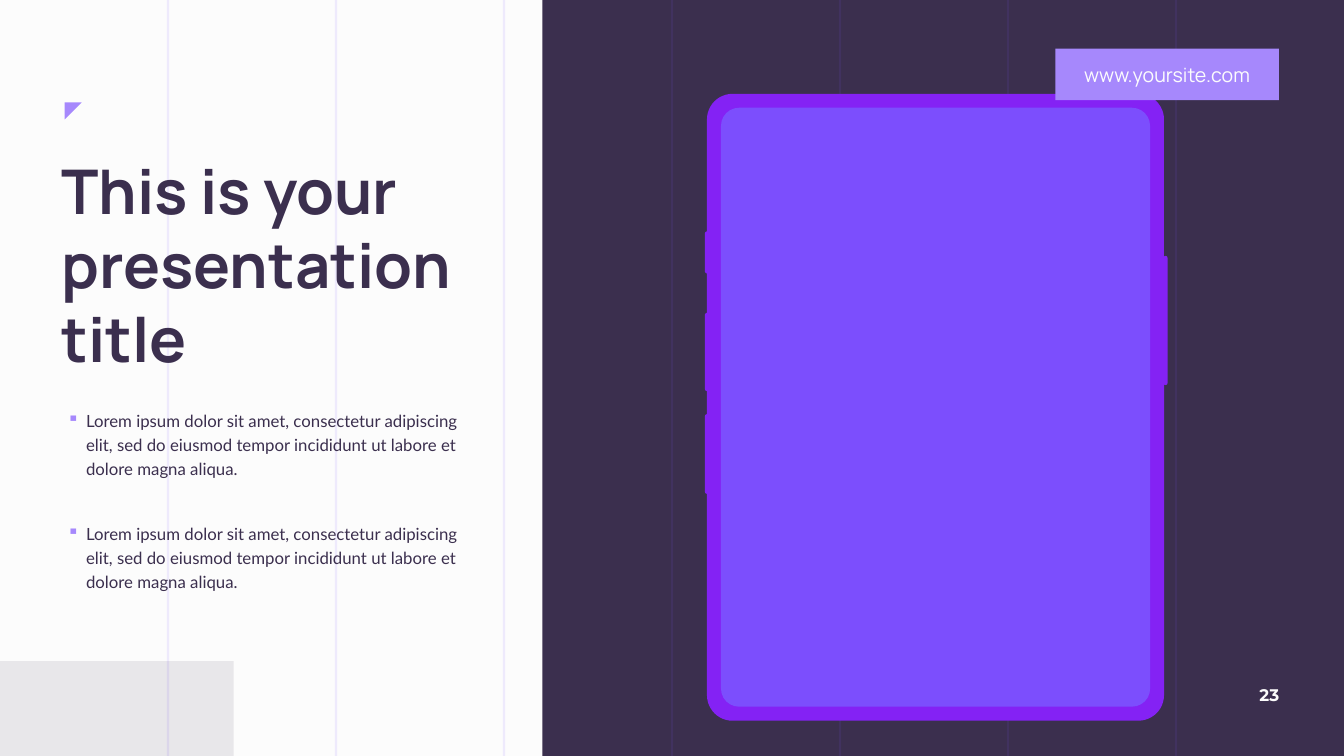
from lxml.etree import SubElement
from pptx import Presentation
from pptx.dml.color import RGBColor
from pptx.enum.shapes import MSO_CONNECTOR, MSO_SHAPE
from pptx.enum.text import MSO_ANCHOR, MSO_AUTO_SIZE, PP_ALIGN
from pptx.oxml.ns import qn
from pptx.util import Pt

TITLE = "This is your presentation\ntitle"
LOREM = ("Lorem ipsum dolor sit amet, consectetur adipiscing elit, sed do "
         "eiusmod tempor incididunt ut labore et dolore magna aliqua.")
POINTS = [LOREM, LOREM]
SITE = "www.yoursite.com"
PAGE = "23"

HEX = {"paper": "FCFCFC", "ink": "3B2F4E", "screen": "7C4EFD",
       "frame": "8422F4", "accent": "A688FC"}
WIDE, HIGH = 960, 540
SPLIT = 387.4   # left edge of the dark half
STEP = 120      # gap between grid lines
BEZEL = 10
TABLET = (505, 67, 326.5, 447.8)
# side buttons: left, top, width, height
KEYS = [(831, 182.8, 3, 92.2), (503.5, 165.2, 3.4, 30.2),
        (503.5, 223.4, 3.4, 56), (503.5, 295.8, 3.4, 57)]


def tone(name):
    return RGBColor.from_string(HEX[name])


def fade(fill, part):
    """Make a solid fill show at the given share of full strength."""
    color = fill.find(".//" + qn("a:srgbClr"))
    SubElement(color, qn("a:alpha")).set("val", str(int(part * 100000)))


def block(slide, kind, box, name, curve=None):
    shape = slide.shapes.add_shape(kind, *map(Pt, box))
    shape.shadow.inherit = False
    shape.fill.solid()
    shape.fill.fore_color.rgb = tone(name)
    shape.line.fill.background()
    if curve is not None:
        shape.adjustments[0] = curve
    return shape


def grid(slide):
    for x in range(STEP, WIDE, STEP):
        line = slide.shapes.add_connector(
            MSO_CONNECTOR.STRAIGHT, Pt(x), Pt(0), Pt(x), Pt(HIGH))
        line.line.color.rgb = tone("screen")
        line.line.width = Pt(1.5)
        props = line.element.spPr
        fade(props.find(qn("a:ln")), 0.1)
        SubElement(props, qn("a:effectLst"))


def style(para, face, size, name, bold=False, align=PP_ALIGN.LEFT):
    para.alignment = align
    font = para.font
    font.name, font.size, font.bold = face, Pt(size), bold
    font.color.rgb = tone(name)


def frame(shape, anchor, pad=None):
    text = shape.text_frame
    text.word_wrap = True
    text.auto_size = MSO_AUTO_SIZE.NONE
    text.vertical_anchor = anchor
    if pad is not None:
        text.margin_left = text.margin_right = Pt(pad)
        text.margin_top = text.margin_bottom = Pt(pad)
    return text


def bullet(para):
    props = para._p.get_or_add_pPr()
    props.set("marL", str(Pt(13.5)))
    props.set("indent", str(-Pt(13.5)))
    color = SubElement(props, qn("a:buClr"))
    SubElement(color, qn("a:srgbClr")).set("val", HEX["accent"])
    SubElement(props, qn("a:buChar")).set("char", "▪")


def tablet(slide):
    for key in KEYS:
        block(slide, MSO_SHAPE.ROUNDED_RECTANGLE, key, "frame", 0.5)
    block(slide, MSO_SHAPE.ROUNDED_RECTANGLE, TABLET, "frame", 0.056)
    x, y, w, h = TABLET
    glass = (x + BEZEL, y + BEZEL, w - 2 * BEZEL, h - 2 * BEZEL)
    block(slide, MSO_SHAPE.ROUNDED_RECTANGLE, glass, "screen", 0.042)


def copy_text(slide):
    num = slide.shapes.add_textbox(Pt(888.5), Pt(481.7), Pt(32.4), Pt(28.8))
    text = frame(num, MSO_ANCHOR.MIDDLE)
    text.text = PAGE
    style(text.paragraphs[0], "Montserrat", 12, "paper", True, PP_ALIGN.RIGHT)

    tag = block(slide, MSO_SHAPE.RECTANGLE, (753.8, 34.8, 159.8, 36.7), "accent")
    text = frame(tag, MSO_ANCHOR.MIDDLE)
    text.text = SITE
    style(text.paragraphs[0], "Manrope", 14, "paper", align=PP_ALIGN.CENTER)

    body = slide.shapes.add_textbox(Pt(48), Pt(290.2), Pt(289.4), Pt(133.2))
    text = frame(body, MSO_ANCHOR.TOP, 0)
    text.text = "\n".join(POINTS)
    for i, para in enumerate(text.paragraphs):
        bullet(para)
        para.line_spacing = 1.2
        para.space_before = Pt(29.3 if i else 0)
        style(para, "Lato", 12, "ink")

    title = slide.shapes.title
    title.left, title.top, title.width, title.height = map(
        Pt, (36.7, 105.8, 320.4, 167))
    text = frame(title, MSO_ANCHOR.TOP)
    text.text = TITLE
    for para in text.paragraphs:
        style(para, "Manrope", 44, "ink", True)
    title.element.getparent().append(title.element)


def main():
    deck = Presentation()
    deck.slide_width, deck.slide_height = Pt(WIDE), Pt(HIGH)
    slide = deck.slides.add_slide(deck.slide_layouts[5])
    slide.background.fill.solid()
    slide.background.fill.fore_color.rgb = tone("paper")
    block(slide, MSO_SHAPE.RECTANGLE, (SPLIT, 0, WIDE - SPLIT, HIGH), "ink")
    grid(slide)
    base = block(slide, MSO_SHAPE.RECTANGLE, (0, 472.3, 167, HIGH - 472.3), "ink")
    fade(base.element.spPr, 0.1)
    mark = block(slide, MSO_SHAPE.RIGHT_TRIANGLE, (46.1, 73.2, 12.2, 12.2), "accent")
    mark.rotation = 90
    tablet(slide)
    copy_text(slide)
    deck.save("out.pptx")


if __name__ == "__main__":
    main()
